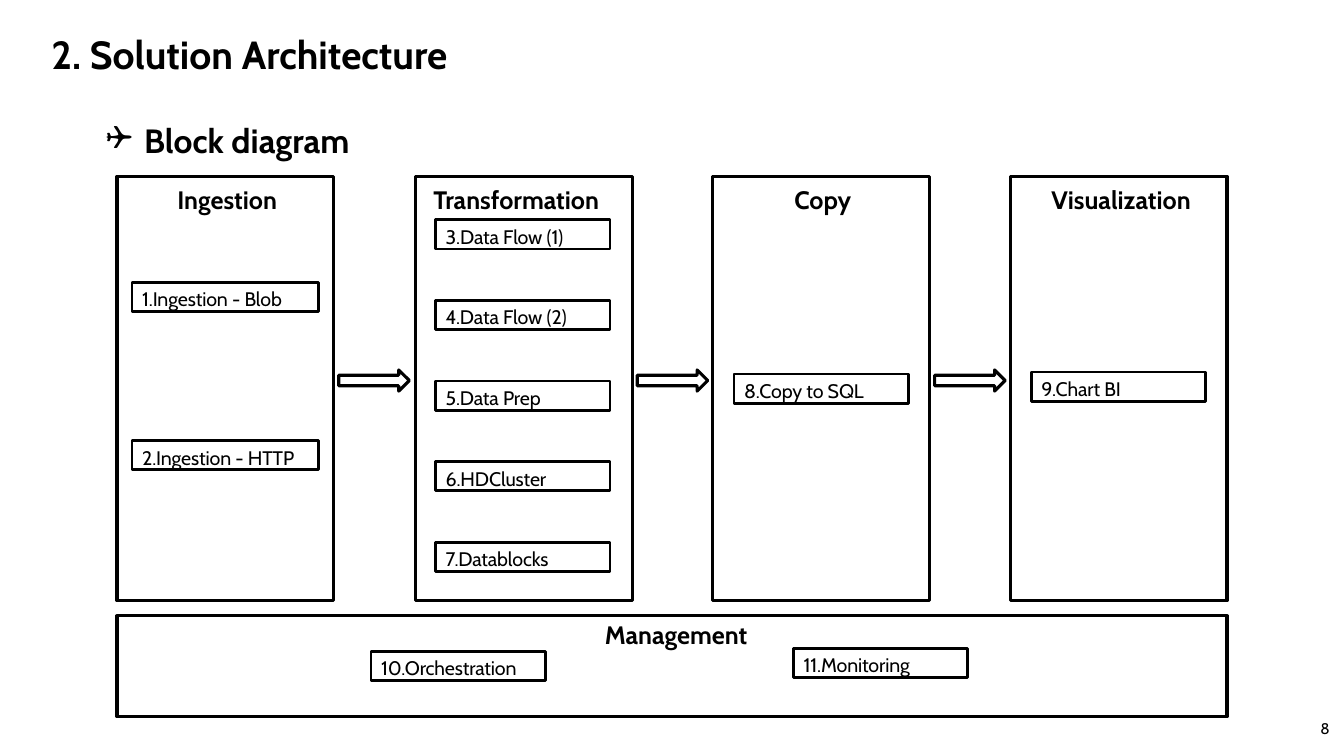
from lxml.etree import SubElement
from pptx import Presentation
from pptx.dml.color import RGBColor
from pptx.enum.shapes import MSO_SHAPE as Shape
from pptx.enum.text import MSO_ANCHOR as Anchor, MSO_AUTO_SIZE as Fit, PP_ALIGN as Align
from pptx.oxml.ns import qn
from pptx.util import Inches, Pt

BLACK = RGBColor(0, 0, 0)
FONT = "Cabin"
TITLE = "2. Solution Architecture"
TOPIC = "Block diagram"
PAGE = "8"

STAGES = [
    ("Ingestion", 1.16, 1.66, 1.32),
    ("Transformation", 4.12, 4.2, 2.02),
    ("Copy", 7.07, 7.78, 0.81),
    ("Visualization", 10.02, 10.33, 1.72),
]
FLOWS = ["3.Data Flow (1)", "4.Data Flow (2)", "5.Data Prep", "6.HDCluster", "7.Datablocks"]
STEPS = [
    ("1.Ingestion - Blob", 1.31, 2.8, 1.85),
    ("2.Ingestion - HTTP", 1.31, 4.37, 1.85),
    *[(name, 4.32, 2.18 + 0.8 * i, 1.73) for i, name in enumerate(FLOWS)],
    ("8.Copy to SQL", 7.28, 3.71, 1.73),
    ("9.Chart BI", 10.23, 3.69, 1.73),
    ("10.Orchestration", 3.68, 6.46, 1.73),
    ("11.Monitoring", 7.87, 6.43, 1.73),
]
TOP, WIDE, HIGH = 1.75, 2.15, 4.21


def place(shape, *box):
    shape.left, shape.top, shape.width, shape.height = map(Inches, box)


def write(shape, text, size, bold=False, align=Align.LEFT):
    frame = shape.text_frame
    frame.text = text
    frame.auto_size = Fit.NONE
    para = frame.paragraphs[0]
    para.alignment = align
    font = para.runs[0].font
    font.name, font.size, font.bold = FONT, Pt(size), bold
    font.color.rgb = BLACK
    return frame, para


def inset(frame, left, top, right, bottom):
    frame.margin_left, frame.margin_top = Inches(left), Inches(top)
    frame.margin_right, frame.margin_bottom = Inches(right), Inches(bottom)


def draw(kind, box, weight=2.25):
    shape = slide.shapes.add_shape(kind, *map(Inches, box))
    shape.shadow.inherit = False
    shape.fill.background()
    shape.line.color.rgb = BLACK
    shape.line.width = Pt(weight)
    return shape


def label(text, left, top, width):
    box = slide.shapes.add_textbox(*map(Inches, (left, top, width, 0.4)))
    frame, _ = write(box, text, 18, True)
    frame.word_wrap = False


deck = Presentation()
deck.slide_width, deck.slide_height = Inches(13.33), Inches(7.5)
slide = deck.slides.add_slide(deck.slide_layouts[1])

title, body = slide.placeholders
place(title, 0, 0, 12.52, 0.82)
frame, para = write(title, TITLE, 28, True)
frame.vertical_anchor = Anchor.BOTTOM
inset(frame, 0.51, 0.05, 0, 0.05)
para.line_spacing, para.space_before = 1.5, Pt(6)

place(body, 0.95, 0.74, 11.9, 0.78)
frame, para = write(body, TOPIC, 24, True)
para.line_spacing, para.space_before = 2.0, Pt(0)
props = para._p.get_or_add_pPr()
props.set("marL", str(Inches(0.38)))
props.set("indent", str(Inches(-0.38)))
SubElement(props, qn("a:buFont"), typeface="Wingdings")
SubElement(props, qn("a:buChar"), char="❑")

for name, left, text_x, text_w in STAGES:
    draw(Shape.RECTANGLE, (left, TOP, WIDE, HIGH))
    label(name, text_x, TOP + 0.03, text_w)
for _, left, _, _ in STAGES[:-1]:
    draw(Shape.RIGHT_ARROW, (left + WIDE + 0.05, 3.67, 0.7, 0.21))

draw(Shape.RECTANGLE, (1.16, 6.11, 11.01, 1))
label("Management", 5.9, 6.09, 1.78)

for name, left, top, width in STEPS:
    step = draw(Shape.RECTANGLE, (left, top, width, 0.29), 2)
    frame, para = write(step, name, 14)
    frame.vertical_anchor = Anchor.TOP
    inset(frame, 0, 0.05, 0, 0)
    para.space_before = Pt(3.5)
    para._p.get_or_add_pPr().set("marL", str(Inches(0.1)))
    para.runs[0].font._element.set("spc", "-10")

page = slide.shapes.add_textbox(*map(Inches, (12.73, 7.03, 0.46, 0.4)))
frame, _ = write(page, PAGE, 11, align=Align.RIGHT)
frame.word_wrap = True
frame.vertical_anchor = Anchor.MIDDLE
inset(frame, 0, 0, 0, 0)

deck.save("out.pptx")
